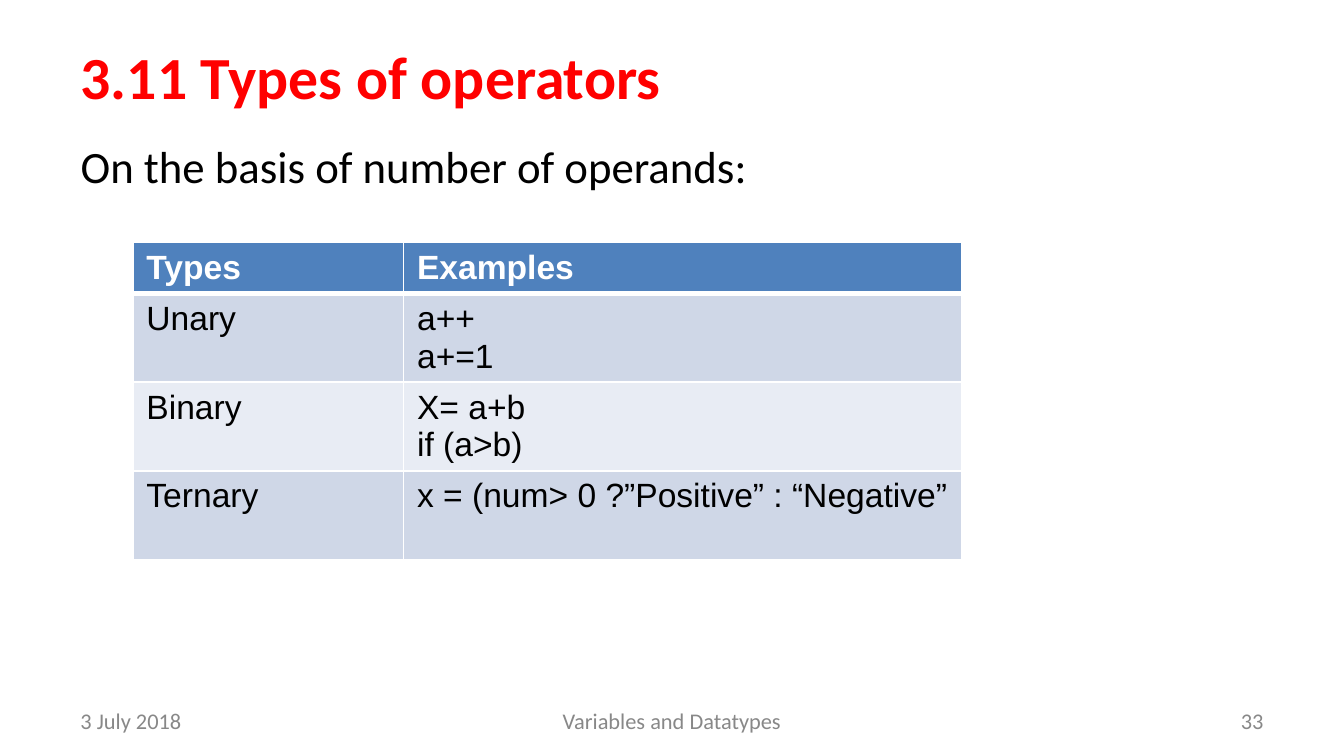
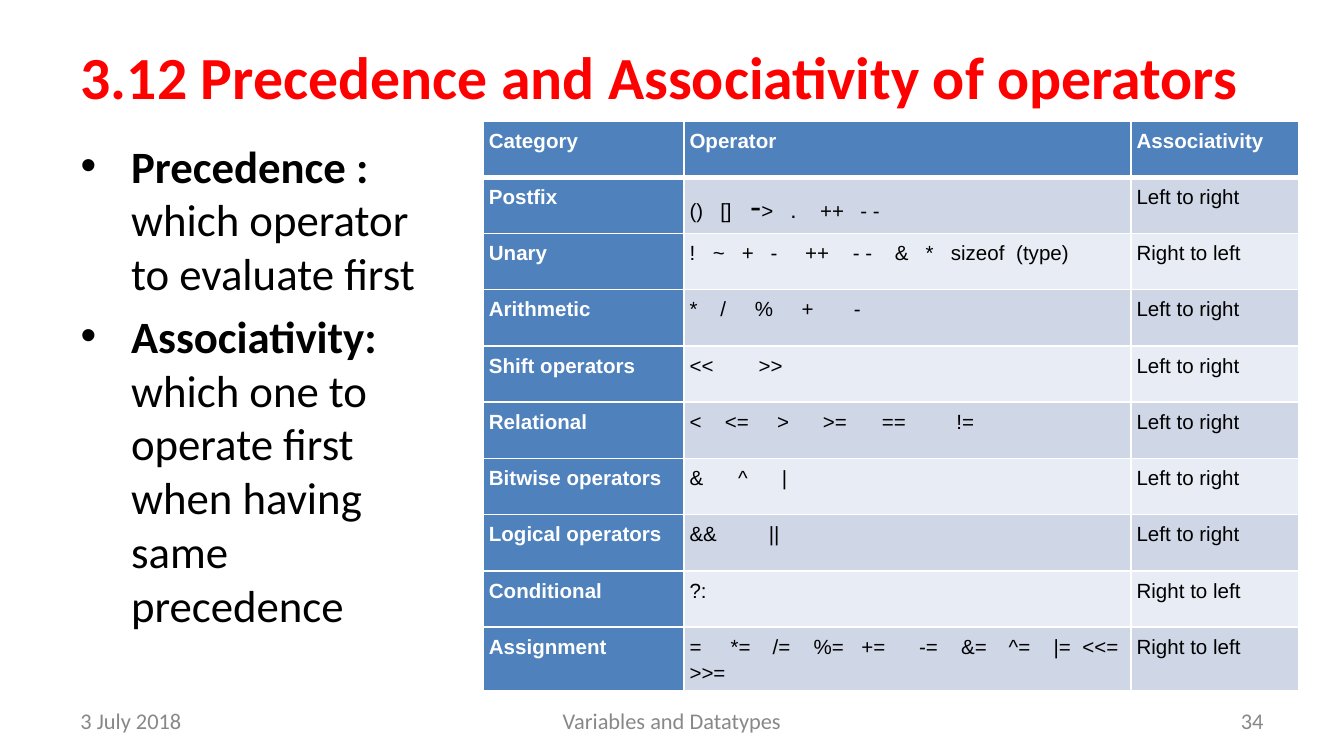
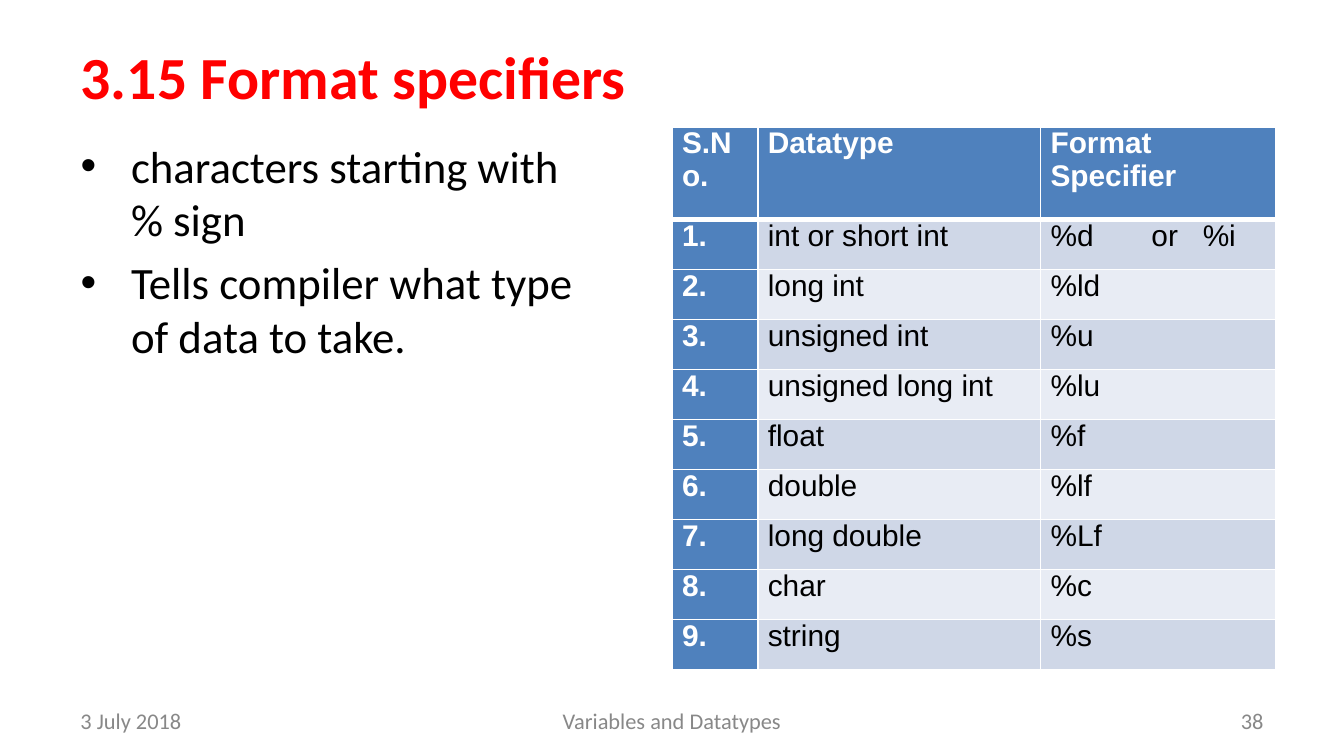
from collections import namedtuple

from lxml.etree import SubElement
from pptx import Presentation
from pptx.dml.color import RGBColor
from pptx.enum.text import MSO_ANCHOR, MSO_AUTO_SIZE, PP_ALIGN
from pptx.oxml.ns import qn
from pptx.util import Pt

COLORS = {
    "title": "FF0000",
    "text": "000000",
    "footer": "888888",
    "header": "4F81BD",
    "header_text": "FFFFFF",
    "border": "FFFFFF",
    "odd_row": "CFD7E7",
    "even_row": "E8ECF4",
}
HEADING_FONT = "Calibri"
TABLE_FONT = "Arial"
LEFT = 36

Spaced = namedtuple("Spaced", "pieces stops")
Style = namedtuple("Style", "size inset_x inset_y line_spacing header_column")

OPERAND_ROWS = [
    ("Types", "Examples"),
    ("Unary", "a++\na+=1"),
    ("Binary", "X= a+b\nif (a>b)"),
    ("Ternary", "x = (num> 0 ?”Positive” : “Negative”"),
]

PRECEDENCE_ROWS = [
    ("Category", "Operator", "Associativity"),
    ("Postfix",
     Spaced(["()\t[]\t", ("-", 18), ">\t", (".", 12), "\t++\t- -"],
            [16.5, 32.5, 54, 70, 91.5]),
     "Left to right"),
    ("Unary",
     Spaced(["!\t~\t+\t-\t++\t- -\t&\t*\tsizeof\t(type)"],
            [12.5, 28, 43.5, 62, 87.5, 110, 126.5, 140, 175]),
     "Right to left"),
    ("Arithmetic", Spaced(["*\t/\t%\t+\t-"], [16.5, 35, 60, 88]), "Left to right"),
    ("Shift operators", Spaced(["<<\t>>"], [37]), "Left to right"),
    ("Relational",
     Spaced(["<\t<=\t>\t>=\t==\t!="], [19, 47, 71.5, 103, 143]),
     "Left to right"),
    ("Bitwise operators", Spaced(["&\t^\t|"], [26, 49.5]), "Left to right"),
    ("Logical operators", Spaced(["&&\t||"], [42.5]), "Left to right"),
    ("Conditional", "?:", "Right to left"),
    ("Assignment",
     Spaced(["=\t*=\t/=\t%=\t+=\t-=\t&=\t^=\t|=\t<<= >>="],
            [22, 44.5, 66.5, 92, 123, 145.5, 171, 195, 210.5]),
     "Right to left"),
]

SPECIFIERS = [
    ("int or short int", Spaced(["%d\tor\t%i"], [54, 81.5])),
    ("long int", "%ld"),
    ("unsigned int", "%u"),
    ("unsigned long int", "%lu"),
    ("float", "%f"),
    ("double", "%lf"),
    ("long double", "%Lf"),
    ("char", "%c"),
    ("string", "%s"),
]
SPECIFIER_ROWS = [("S.No.", "Datatype", "Format Specifier")] + [
    (f"{number}.", *row) for number, row in enumerate(SPECIFIERS, 1)
]


def set_font(font, name, size, color, bold=False):
    font.name = name
    font.size = Pt(size)
    font.bold = bold
    font.color.rgb = RGBColor.from_string(COLORS[color])


def place(shape, left, top, width, height):
    shape.left, shape.top = Pt(left), Pt(top)
    shape.width, shape.height = Pt(width), Pt(height)
    shape.text_frame.word_wrap = True
    shape.text_frame.auto_size = MSO_AUTO_SIZE.NONE


def add_title(slide, text):
    title = slide.shapes.title
    place(title, LEFT, 16.5, 648, 48)
    title.text_frame.vertical_anchor = MSO_ANCHOR.MIDDLE
    heading = title.text_frame.paragraphs[0]
    heading.text = text
    heading.alignment = PP_ALIGN.LEFT
    set_font(heading.font, HEADING_FONT, 32, "title", True)


def add_body(slide, points, width, bulleted=True):
    body = slide.placeholders[1]
    place(body, LEFT, 70.5, width, 291.5)
    for index, (term, explanation) in enumerate(points):
        frame = body.text_frame
        point = frame.add_paragraph() if index else frame.paragraphs[0]
        properties = point._p.get_or_add_pPr()
        properties.set("marL", str(Pt(27)))
        properties.set("indent", str(-Pt(27)))
        if bulleted:
            SubElement(properties, qn("a:buChar"), char="•")
        else:
            SubElement(properties, qn("a:buNone"))
        point.space_before = Pt(4.8 if index else 0)
        set_font(point.font, HEADING_FONT, 24, "text")
        if term:
            bold_term = point.add_run()
            bold_term.text = term
            bold_term.font.bold = True
        point.add_run().text = explanation


def add_footer(slide, number):
    entries = [
        ("3 July 2018", LEFT, 168, PP_ALIGN.LEFT),
        (str(number), 516, 168, PP_ALIGN.RIGHT),
        ("Variables and Datatypes", 246, 228, PP_ALIGN.CENTER),
    ]
    for text, left, width, alignment in entries:
        entry = slide.shapes.add_textbox(0, 0, 0, 0)
        place(entry, left, 375.5, width, 21.5)
        entry.text_frame.vertical_anchor = MSO_ANCHOR.MIDDLE
        line = entry.text_frame.paragraphs[0]
        line.text = text
        line.alignment = alignment
        set_font(line.font, HEADING_FONT, 12, "footer")


def set_borders(cell, row_index):
    properties = cell._tc.get_or_add_tcPr()
    widths = {
        "L": 1,
        "R": 1,
        "T": 3 if row_index == 1 else 1,
        "B": 3 if row_index == 0 else 1,
    }
    for side, width in widths.items():
        border = SubElement(properties, qn(f"a:ln{side}"), w=str(Pt(width)))
        fill = SubElement(border, qn("a:solidFill"))
        SubElement(fill, qn("a:srgbClr"), val=COLORS["border"])


def add_tab_stops(paragraph, stops):
    tab_list = SubElement(paragraph._p.get_or_add_pPr(), qn("a:tabLst"))
    for stop in stops:
        SubElement(tab_list, qn("a:tab"), pos=str(Pt(stop)), algn="l")


def fill_cell(cell, content, style, is_header):
    cell.margin_left = cell.margin_right = Pt(style.inset_x)
    cell.margin_top = cell.margin_bottom = Pt(style.inset_y)
    if isinstance(content, Spaced):
        lines, stops = [content.pieces], content.stops
    else:
        lines, stops = [[line] for line in content.split("\n")], []
    for index, pieces in enumerate(lines):
        frame = cell.text_frame
        line = frame.add_paragraph() if index else frame.paragraphs[0]
        if stops:
            add_tab_stops(line, stops)
        line.line_spacing = style.line_spacing
        color = "header_text" if is_header else "text"
        set_font(line.font, TABLE_FONT, style.size, color, is_header)
        for piece in pieces:
            text, size = (piece, None) if isinstance(piece, str) else piece
            run = line.add_run()
            run.text = text
            if size:
                run.font.size = Pt(size)


def add_grid(slide, rows, left, top, widths, heights, style):
    table = slide.shapes.add_table(
        len(rows), len(widths), Pt(left), Pt(top), Pt(sum(widths)), Pt(sum(heights))
    ).table
    table.first_col = style.header_column
    for column, width in zip(table.columns, widths):
        column.width = Pt(width)
    for row_index, (row, height) in enumerate(zip(rows, heights)):
        table.rows[row_index].height = Pt(height)
        band = "odd_row" if row_index % 2 else "even_row"
        for column_index, content in enumerate(row):
            cell = table.cell(row_index, column_index)
            is_header = row_index == 0 or (style.header_column and column_index == 0)
            set_borders(cell, row_index)
            cell.fill.solid()
            fill = "header" if is_header else band
            cell.fill.fore_color.rgb = RGBColor.from_string(COLORS[fill])
            fill_cell(cell, content, style, is_header)


def add_content_slide(deck, title, number):
    slide = deck.slides.add_slide(deck.slide_layouts[1])
    add_title(slide, title)
    add_footer(slide, number)
    return slide


def main():
    deck = Presentation()
    deck.slide_width, deck.slide_height = Pt(720), Pt(405)

    operators = add_content_slide(deck, "3.11 Types of operators", 33)
    add_body(operators, [("", "On the basis of number of operands:")], 648, False)
    add_grid(operators, OPERAND_ROWS, 71.25, 129.75, [145, 299],
             [27] + [47.5] * 3, Style(18, 7.2, 3.6, 1.0, False))

    precedence = add_content_slide(
        deck, "3.12 Precedence and Associativity of operators", 34)
    add_body(precedence, [
        ("Precedence :", " which operator to evaluate first"),
        ("Associativity:", " which one to operate first when having same precedence"),
    ], 204)
    add_grid(precedence, PRECEDENCE_ROWS, 259, 64.75, [107.5, 239.5, 90],
             [30.15] * 9 + [34], Style(11, 2.9, 2.9, 1.15, True))

    specifiers = add_content_slide(deck, "3.15 Format specifiers", 38)
    add_body(specifiers, [
        ("", "characters starting with % sign"),
        ("", "Tells compiler what type of data to take."),
    ], 282)
    add_grid(specifiers, SPECIFIER_ROWS, 360, 68, [46, 151.5, 126],
             [49.5] + [26.8] * 9, Style(16, 5.4, 0, 1.0, True))

    deck.save("out.pptx")


if __name__ == "__main__":
    main()
